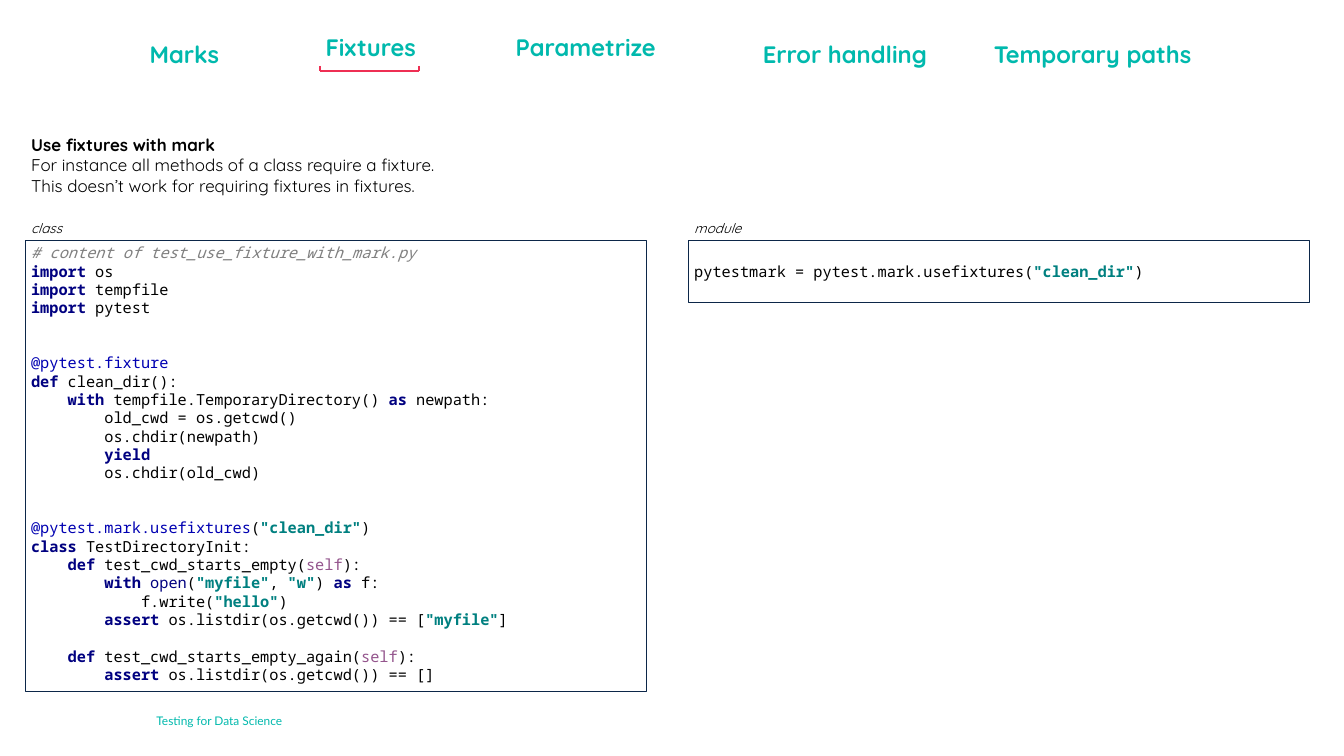
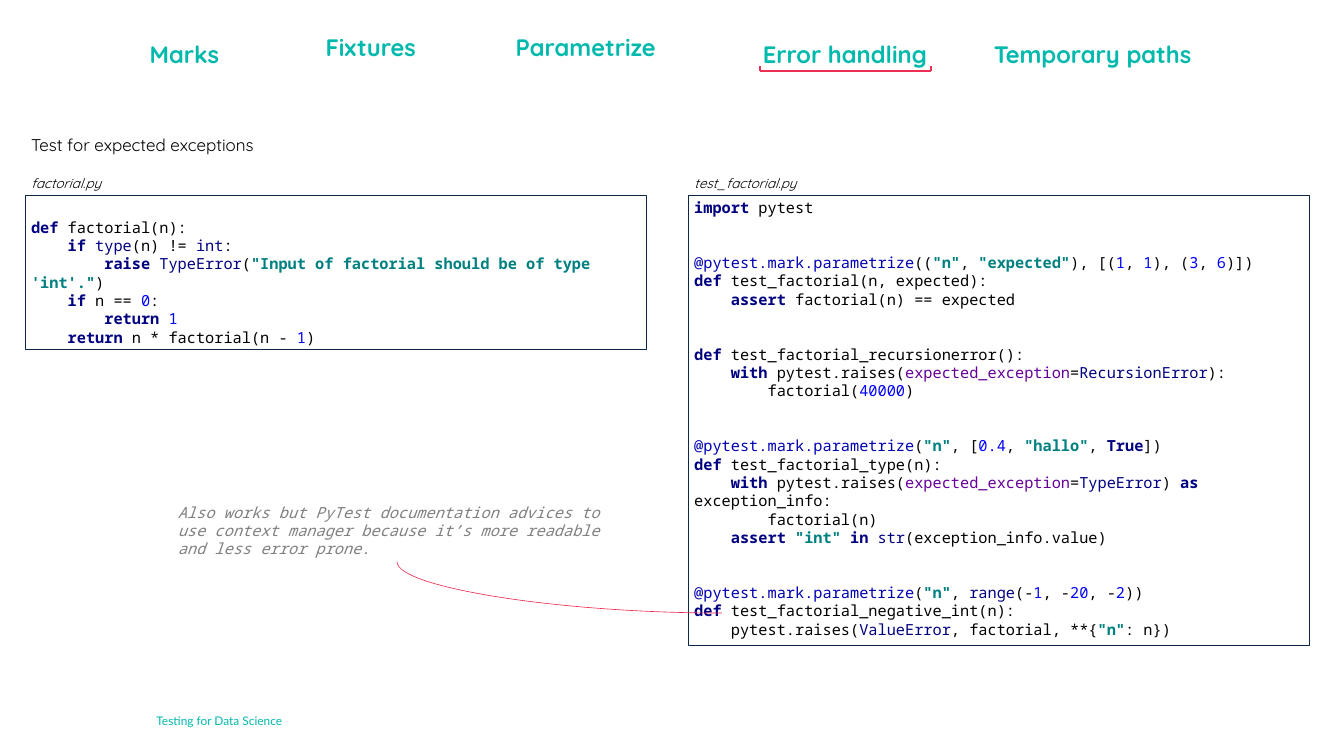
from itertools import groupby

from lxml.etree import SubElement
from pptx import Presentation
from pptx.dml.color import RGBColor
from pptx.enum.shapes import MSO_CONNECTOR, MSO_SHAPE
from pptx.enum.text import MSO_ANCHOR, MSO_AUTO_SIZE, PP_ALIGN
from pptx.oxml.ns import qn
from pptx.util import Cm, Pt

WHITE = RGBColor(0xFF, 0xFF, 0xFF)
BLACK = RGBColor(0x00, 0x00, 0x00)
TEAL = RGBColor(0x00, 0xB9, 0xAD)
RED = RGBColor(0xEE, 0x2F, 0x53)
ROSE = RGBColor(0xED, 0x29, 0x4E)
INK = RGBColor(0x0C, 0x27, 0x49)
GRAY = RGBColor(0x80, 0x80, 0x80)
NAVY = RGBColor(0x00, 0x00, 0x80)
BLUE = RGBColor(0x00, 0x00, 0xFF)
ROYAL = RGBColor(0x00, 0x00, 0xB2)
GREEN = RGBColor(0x00, 0x80, 0x80)
MAUVE = RGBColor(0x94, 0x55, 0x8D)
PURPLE = RGBColor(0x66, 0x00, 0x99)

HEAD = {"name": "Quicksand", "size": Pt(28), "bold": True, "color": TEAL}
INTRO = {"name": "Quicksand", "size": Pt(20), "bold": False, "color": BLACK}
LABEL = {"name": "Quicksand", "size": Pt(16), "italic": True, "color": BLACK}
FOOT = {"name": "Lato", "size": Pt(14), "color": TEAL}
MONO = {"name": "Noto Sans Mono", "size": Pt(18), "bold": False, "color": BLACK}
NOTE = MONO | {"italic": True, "color": GRAY}

STEP = Pt(21.6)  # height of one code line
CHAR = Pt(10.8)  # width of one code character
LEFT, RIGHT, WIDE = 1.04, 28.6, 25.8

# Name: left, top, height, line spacing
MENU = {
    "Fixtures": (13.28, 1.24, 1.45, 1),
    "Marks": (5.97, 0.69, 2.03, 1.71),
    "Parametrize": (21.18, 1.24, 1.45, 1),
    "Error handling": (31.45, 0.69, 2.03, 1.71),
    "Temporary paths": (41.05, 0.69, 2.03, 1.71),
}

KEYS = {"import", "def", "class", "with", "as", "yield", "assert", "if",
        "raise", "return", "in", "True"}
NAMES = {"open", "type", "int", "str", "range", "TypeError",
         "RecursionError", "ValueError"}
HUES = {"self": MAUVE, "expected_exception": PURPLE}

CLASS = [
    '# content of test_use_fixture_with_mark.py',
    'import os',
    'import tempfile',
    'import pytest',
    '',
    '',
    '@pytest.fixture',
    'def clean_dir():',
    '    with tempfile.TemporaryDirectory() as newpath:',
    '        old_cwd = os.getcwd()',
    '        os.chdir(newpath)',
    '        yield',
    '        os.chdir(old_cwd)',
    '',
    '',
    '@pytest.mark.usefixtures("clean_dir")',
    'class TestDirectoryInit:',
    '    def test_cwd_starts_empty(self):',
    '        with open("myfile", "w") as f:',
    '            f.write("hello")',
    '        assert os.listdir(os.getcwd()) == ["myfile"]',
    '',
    '    def test_cwd_starts_empty_again(self):',
    '        assert os.listdir(os.getcwd()) == []',
]
MODULE = ['pytestmark = pytest.mark.usefixtures("clean_dir")']
FACTOR = [
    'def factorial(n):',
    '    if type(n) != int:',
    '        raise TypeError("Input of factorial should be of type \'int\'.")',
    '    if n == 0:',
    '        return 1',
    '    return n * factorial(n - 1)',
]
TESTS = [
    'import pytest',
    '',
    '',
    '@pytest.mark.parametrize(("n", "expected"), [(1, 1), (3, 6)])',
    'def test_factorial(n, expected):',
    '    assert factorial(n) == expected',
    '',
    '',
    'def test_factorial_recursionerror():',
    '    with pytest.raises(expected_exception=RecursionError):',
    '        factorial(40000)',
    '',
    '',
    '@pytest.mark.parametrize("n", [0.4, "hallo", True])',
    'def test_factorial_type(n):',
    '    with pytest.raises(expected_exception=TypeError) as exception_info:',
    '        factorial(n)',
    '    assert "int" in str(exception_info.value)',
    '',
    '',
    '@pytest.mark.parametrize("n", range(-1, -20, -2))',
    'def test_factorial_negative_int(n):',
    '    pytest.raises(ValueError, factorial, **{"n": n})',
]


def style(font, form):
    for key, value in form.items():
        if key == "color":
            font.color.rgb = value
        else:
            setattr(font, key, value)


def tint(word):
    """Return the colour and weight of one word of code."""
    if word in KEYS:
        return NAVY, True
    if word in NAMES:
        return NAVY, False
    if word[0] == "@":
        return ROYAL, False
    if word[0].isdigit():
        return BLUE, False
    return HUES.get(word, BLACK), False


def lex(line):
    """Yield (text, (colour, bold)) for each token of a code line."""
    for i, part in enumerate(line.split('"')):
        if i % 2:
            yield f'"{part}"', (GREEN, True)
        else:
            for _, chars in groupby(part, lambda c: c.isalnum() or c in "_.@"):
                word = "".join(chars)
                yield word, tint(word)


class Deck:
    def __init__(self):
        self.prs = Presentation()
        self.prs.slide_width, self.prs.slide_height = Cm(55.85), Cm(31.42)
        self.slide = None

    def page(self, active, start, end, intro, tall):
        """Start a slide with its intro, footer and menu, one item marked."""
        self.slide = self.prs.slides.add_slide(self.prs.slide_layouts[5])
        self.title(intro, tall)
        foot = self.text("Testing for Data Science", 6.5, 29.44, 30, 1, FOOT,
                         MSO_ANCHOR.MIDDLE)
        for side in ("left", "top", "right", "bottom"):
            setattr(foot.text_frame, f"margin_{side}", 0)
        for name, (x, y, h, space) in MENU.items():
            self.text(name, x, y, 10, h, HEAD, space=space)
        for x1, y1, x2 in ((start, 2.74, start), (end, 2.74, end),
                           (start, 2.95, end)):
            self.line(x1, y1, x2, 2.95, RED, 2.25)

    def title(self, lines, tall):
        box = self.slide.shapes.title
        box.left, box.top = Cm(LEFT), Cm(5.46)
        box.width, box.height = Cm(51.9), Cm(tall)
        frame = box.text_frame
        frame.auto_size = MSO_AUTO_SIZE.NONE
        frame.vertical_anchor = MSO_ANCHOR.TOP
        frame.text = "\n".join(lines)
        for i, para in enumerate(frame.paragraphs):
            para.alignment, para.line_spacing = PP_ALIGN.LEFT, Pt(24)
            bold = len(lines) > 1 and i == 0
            style(para.runs[0].font, INTRO | {"bold": bold})

    def text(self, words, x, y, w, h, form, anchor=MSO_ANCHOR.TOP, space=1):
        box = self.slide.shapes.add_textbox(Cm(x), Cm(y), Cm(w), Cm(h))
        frame = box.text_frame
        frame.word_wrap, frame.vertical_anchor = True, anchor
        para = frame.paragraphs[0]
        para.line_spacing = space
        run = para.add_run()
        run.text = words
        style(run.font, form)
        return box

    def line(self, x1, y1, x2, y2, color, width, kind=MSO_CONNECTOR.STRAIGHT):
        link = self.slide.shapes.add_connector(
            kind, Cm(x1), Cm(y1), Cm(x2), Cm(y2))
        link.line.color.rgb, link.line.width = color, Pt(width)
        SubElement(link._element.spPr, qn("a:effectLst"))
        return link

    def curve(self, x1, y1, x2, y2):
        """Draw a quarter bend that leaves level and arrives upright."""
        link = self.line(x1, y1, x2, y2, ROSE, 0.75, MSO_CONNECTOR.CURVE)
        link._element.spPr.find(qn("a:prstGeom")).set("prst", "curvedConnector2")

    def code(self, name, lines, x, y, h, anchor=MSO_ANCHOR.TOP):
        """Draw a captioned code box; empty lines become paragraph spacing."""
        self.text(name, x, y - 1, WIDE, 0.94, LABEL, MSO_ANCHOR.BOTTOM)
        box = self.slide.shapes.add_shape(
            MSO_SHAPE.RECTANGLE, Cm(x), Cm(y), Cm(WIDE), Cm(h))
        box.shadow.inherit = False
        box.fill.solid()
        box.fill.fore_color.rgb = WHITE
        box.line.color.rgb, box.line.width = INK, Pt(0.75)
        frame = box.text_frame
        frame.word_wrap, frame.vertical_anchor = True, anchor
        para, gap = frame.paragraphs[0], 0
        for line in lines:
            if not line:
                gap += 1
                continue
            if para.runs:
                para = frame.add_paragraph()
            para.alignment, para.line_spacing = PP_ALIGN.LEFT, STEP
            para.space_before, gap = STEP * gap, 0
            self.row(para, line)

    def row(self, para, line):
        bare = line.lstrip()
        props = para._p.get_or_add_pPr()
        props.set("marL", "0")
        props.set("indent", str(CHAR * (len(line) - len(bare))))
        if bare[0] == "#":
            run = para.add_run()
            run.text = bare
            style(run.font, NOTE)
            return
        for (color, bold), group in groupby(lex(bare), lambda t: t[1]):
            run = para.add_run()
            run.text = "".join(word for word, _ in group)
            style(run.font, MONO | {"color": color, "bold": bold})


def main():
    deck = Deck()
    deck.page("Fixtures", 13.31, 17.42, [
        "Use fixtures with mark",
        "For instance all methods of a class require a fixture.",
        "This doesn’t work for requiring fixtures in fixtures.",
    ], 2.82)
    deck.code("class", CLASS, LEFT, 10, 18.72)
    deck.code("module", MODULE, RIGHT, 10, 2.57, MSO_ANCHOR.MIDDLE)

    deck.page("Error handling", 31.6, 38.68, ["Test for expected exceptions"], 1.12)
    deck.code("factorial.py", FACTOR, LEFT, 8.12, 6.4, MSO_ANCHOR.BOTTOM)
    deck.code("test_factorial.py", TESTS, RIGHT, 8.12, 18.72)
    deck.text("Also works but PyTest documentation advices to use context manager "
              "because it’s more readable and less error prone.",
              7.14, 20.78, 18.72, 2.57, NOTE, space=STEP)
    deck.curve(30, 25.48, 16.5, 23.35)
    deck.prs.save("out.pptx")


if __name__ == "__main__":
    main()
